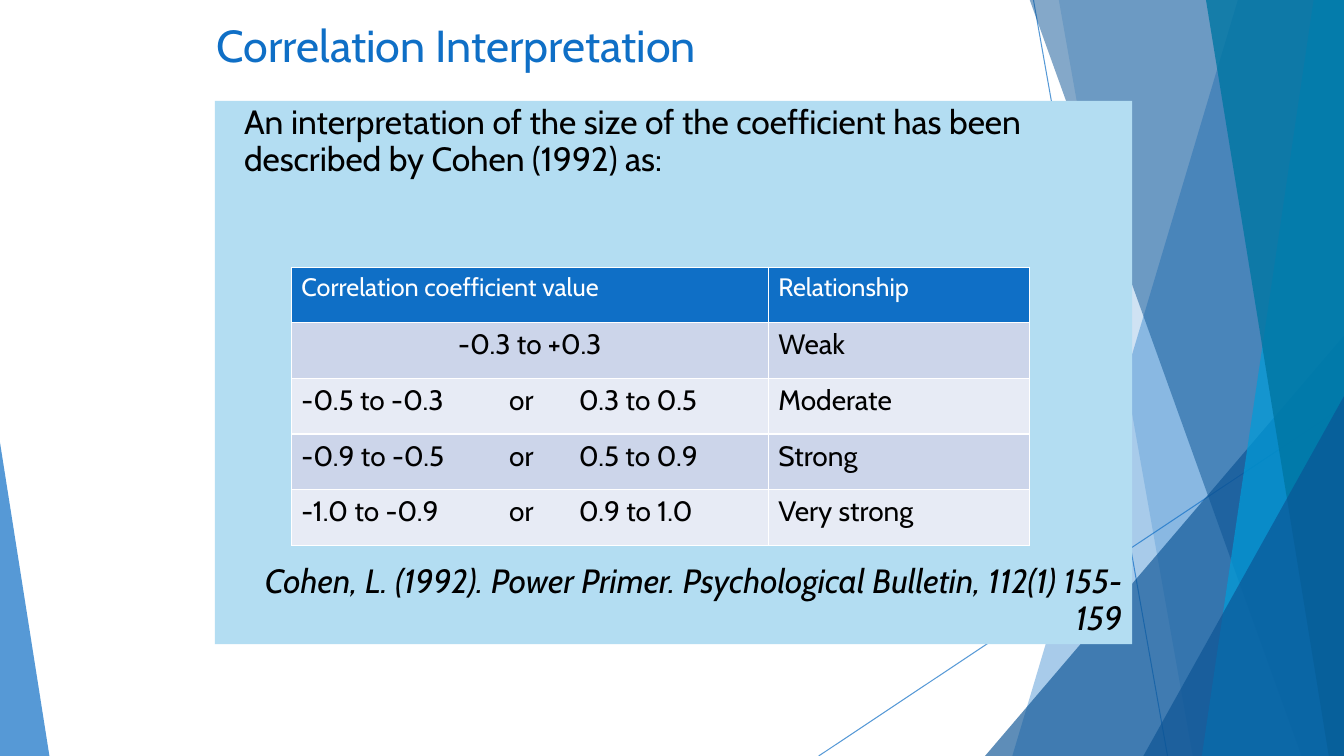
from lxml.etree import SubElement, Element
from pptx import Presentation
from pptx.dml.color import RGBColor
from pptx.enum.shapes import MSO_CONNECTOR, MSO_SHAPE
from pptx.enum.text import MSO_ANCHOR, MSO_AUTO_SIZE, PP_ALIGN
from pptx.oxml.ns import qn
from pptx.util import Inches, Pt

WIDE, HIGH = 13.33, 7.5
FONT = "Cabin"
BLUE = RGBColor(0x0F, 0x6F, 0xC6)
NAVY = RGBColor(0x0B, 0x53, 0x94)
CYAN = RGBColor(0x00, 0x9D, 0xD9)
TEAL = RGBColor(0x00, 0x76, 0xA3)
PALE = RGBColor(0xB3, 0xDD, 0xF2)
DARK_BAND = RGBColor(0xCC, 0xD5, 0xEA)
LIGHT_BAND = RGBColor(0xE7, 0xEB, 0xF5)
WHITE = RGBColor(0xFF, 0xFF, 0xFF)
BLACK = RGBColor(0, 0, 0)

RAYS = [((10.25, 0), (11.58, HIGH)), ((WIDE, 4.03), (8.12, HIGH))]
SHARDS = [
    ("free", 12.28, 10.04, BLUE, 36),
    ("free", 10.5, 11.83, BLUE, 20),
    ("wedge", 9.77, 3.33, NAVY, 66),
    ("free", 10.21, 12.91, NAVY, 50),
    ("free", 13.03, 11.92, CYAN, 70),
    ("free", 11.96, 13.18, TEAL, 80),
    ("wedge", 11.34, 3.93, NAVY, 66),
]
ROWS = [
    ("Correlation coefficient value", "Relationship"),
    ("-0.3 to +0.3", "Weak"),
    ("-0.5 to -0.3\tor\t0.3 to 0.5", "Moderate"),
    ("-0.9 to -0.5\tor\t0.5 to 0.9", "Strong"),
    ("-1.0 to -0.9\tor\t0.9 to 1.0", "Very strong"),
]
INTRO = "An interpretation of the size of the coefficient has been described by Cohen (1992) as:"
CITE = "Cohen, L. (1992). Power Primer. Psychological Bulletin, 112(1) 155-159"


def fade(fill, alpha):
    tint = fill.find(".//" + qn("a:srgbClr"))
    SubElement(tint, qn("a:alpha"), val=str(alpha * 1000))


def paint(shape, color, alpha):
    shape.shadow.inherit = False
    shape.fill.solid()
    shape.fill.fore_color.rgb = color
    shape.line.fill.background()
    fade(shape.element.spPr.find(qn("a:solidFill")), alpha)


def write(para, text, size, color, italic=False):
    run = para.add_run()
    run.text = text
    font = run.font
    font.name, font.size, font.color.rgb = FONT, Pt(size), color
    font.bold, font.italic = False, italic


def place(shape, box):
    shape.left, shape.top, shape.width, shape.height = map(Inches, box)
    shape.element.getparent().append(shape.element)
    frame = shape.text_frame
    frame.word_wrap = True
    frame.auto_size = MSO_AUTO_SIZE.NONE
    frame.vertical_anchor = MSO_ANCHOR.TOP
    return frame


def add_wedge(shapes, box, peak, color, alpha):
    wedge = shapes.add_shape(MSO_SHAPE.ISOSCELES_TRIANGLE, *map(Inches, box))
    wedge.adjustments[0] = peak
    paint(wedge, color, alpha)


def add_decor(shapes, right, foot):
    for start, end in RAYS:
        ray = shapes.add_connector(MSO_CONNECTOR.STRAIGHT, *map(Inches, start + end))
        ray.line.color.rgb = BLUE
        ray.line.width = Pt(0.75)
        fade(ray.line._ln, 70)
        SubElement(ray.element.spPr, qn("a:effectLst"))
    for kind, first, second, color, alpha in SHARDS:
        if kind == "wedge":
            box = (first, second, right - first, foot - second)
            add_wedge(shapes, box, 1, color, alpha)
        else:
            pen = shapes.build_freeform(Inches(first), Inches(-0.01), 1.0)
            ends = [(right, -0.01), (right, foot), (second, foot)]
            pen.add_line_segments([tuple(map(Inches, end)) for end in ends])
            paint(pen.convert_to_shape(), color, alpha)
    add_wedge(shapes, (0, 4.39, 0.49, foot - 4.39), 0, BLUE, 70)


def add_title(title, box):
    para = place(title, box).paragraphs[0]
    para.alignment = PP_ALIGN.LEFT
    write(para, "Correlation Interpretation", 32, BLUE)


def add_panel(body, box):
    frame = place(body, box)
    body.fill.solid()
    body.fill.fore_color.rgb = PALE
    parts = [
        (frame.paragraphs[0], INTRO, PP_ALIGN.LEFT, 0.19, 0, False),
        (frame.add_paragraph(), CITE, PP_ALIGN.RIGHT, 0.25, 276, True),
    ]
    for para, text, align, inset, gap, italic in parts:
        para.alignment = align
        para.line_spacing = 0.9
        para.space_before = Pt(gap)
        props = para._p.get_or_add_pPr()
        props.set("marL", str(Inches(inset)))
        props.set("indent", "0")
        SubElement(props, qn("a:buNone"))
        write(para, text, 24, BLACK, italic)


def add_edges(cell):
    props = cell._tc.get_or_add_tcPr()
    for spot, side in enumerate("LRTB"):
        edge = Element(qn("a:ln" + side), w=str(Pt(1)))
        fill = SubElement(edge, qn("a:solidFill"))
        SubElement(fill, qn("a:srgbClr"), val=str(WHITE))
        props.insert(spot, edge)


def add_tabs(para):
    stops = SubElement(para._p.get_or_add_pPr(), qn("a:tabLst"))
    for stop in (2.06, 2.75):
        SubElement(stops, qn("a:tab"), pos=str(Inches(stop)), algn="l")


def add_grid(shapes, box):
    table = shapes.add_table(len(ROWS), 2, *map(Inches, box)).table
    table.columns[0].width = Inches(4.73)
    table.columns[1].width = Inches(box[2] - 4.73)
    for r, row in enumerate(ROWS):
        band = BLUE if r == 0 else DARK_BAND if r % 2 else LIGHT_BAND
        for c, text in enumerate(row):
            cell = table.cell(r, c)
            cell.fill.solid()
            cell.fill.fore_color.rgb = band
            add_edges(cell)
            para = cell.text_frame.paragraphs[0]
            if "\t" in text:
                add_tabs(para)
            elif r == 1 and c == 0:
                para.alignment = PP_ALIGN.CENTER
            write(para, text, 20 if r else 18, BLACK if r else WHITE)


def main():
    deck = Presentation()
    deck.slide_width, deck.slide_height = Inches(WIDE), Inches(HIGH)
    slide = deck.slides.add_slide(deck.slide_layouts[1])
    shapes = slide.shapes
    add_decor(shapes, WIDE, HIGH)
    add_panel(slide.placeholders[1], (2.13, 1, 9.1, 5.39))
    add_title(shapes.title, (2.05, 0.13, 7.48, 0.95))
    add_grid(shapes, (2.89, 2.65, 7.32, 2.76))
    deck.save("out.pptx")


if __name__ == "__main__":
    main()
